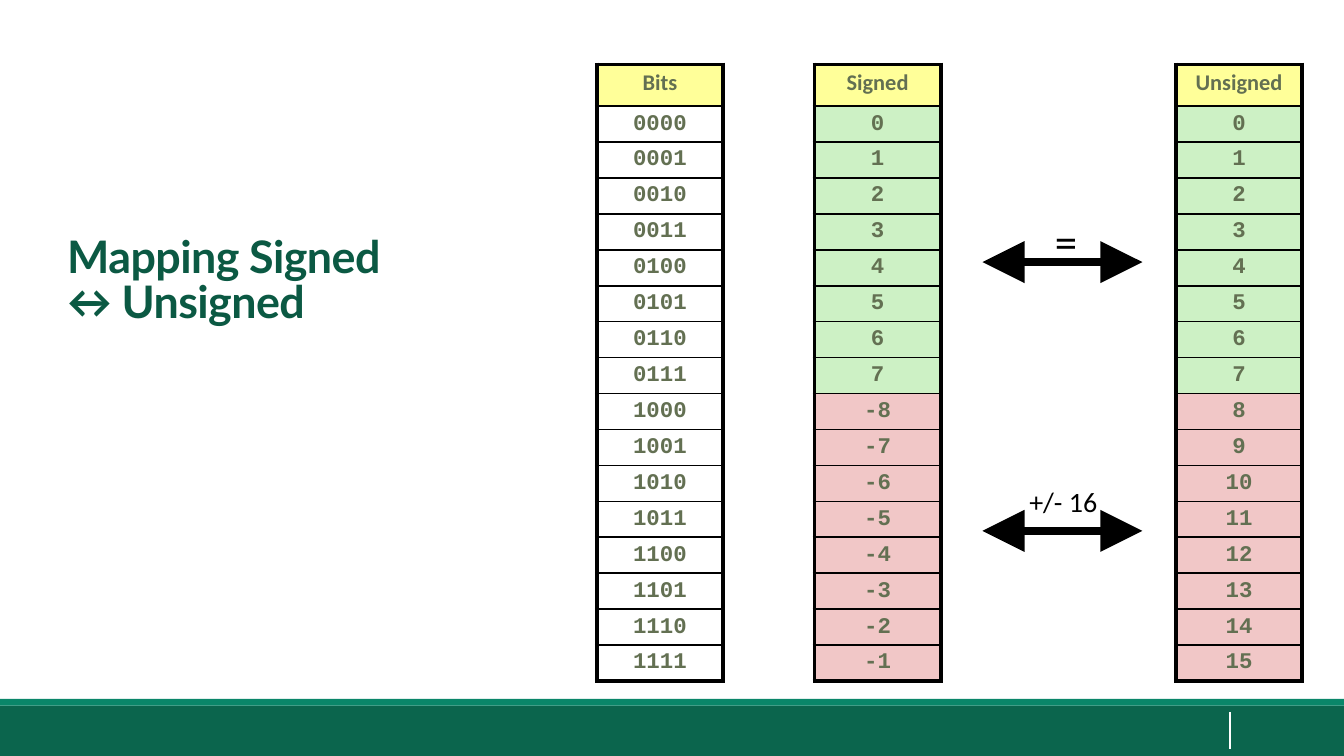
import dataclasses

import pptx
import pptx.dml.color
import pptx.enum.shapes
import pptx.enum.text
import pptx.oxml
import pptx.oxml.ns
import pptx.util
from lxml import etree

ALIGN = pptx.enum.text.PP_ALIGN
ANCHOR = pptx.enum.text.MSO_ANCHOR
AUTO_SIZE = pptx.enum.text.MSO_AUTO_SIZE
SHAPE = pptx.enum.shapes.MSO_SHAPE
STRAIGHT = pptx.enum.shapes.MSO_CONNECTOR.STRAIGHT


@dataclasses.dataclass(frozen=True)
class Theme:
    title: str = "0B5943"
    bar: str = "0B654D"
    strip: str = "0A8669"
    white: str = "FFFFFF"
    black: str = "000000"
    cell_text: str = "637052"
    header: str = "FFFF99"
    same: str = "CDF1C5"
    shifted: str = "F1C7C7"
    title_font: str = "Lato"
    body_font: str = "Calibri"
    code_font: str = "Courier New"
    title_size: float = 24
    cell_size: float = 12
    equal_size: float = 24
    offset_size: float = 15
    outer_line: float = 2.25
    inner_line: float = 1
    arrow_line: float = 4.5


@dataclasses.dataclass(frozen=True)
class Box:
    """Left, top, width and height in grid units."""
    left: float
    top: float
    width: float
    height: float

    def lengths(self):
        return [grid(value) for value in dataclasses.astuple(self)]


THEME = Theme()
COLUMNS, ROWS = 100, 56.25
WORD_BITS = 4
COUNT = 2 ** WORD_BITS
HALF = COUNT // 2


def grid(units):
    """One unit is a hundredth of the slide's width."""
    return pptx.util.Inches(units * 10 / COLUMNS)


def rgb(color):
    return pptx.dml.color.RGBColor.from_string(color)


def set_margins(frame, across, down):
    frame.margin_left = frame.margin_right = pptx.util.Inches(across)
    frame.margin_top = frame.margin_bottom = pptx.util.Inches(down)


def style_text(para, font, size, color, bold=False):
    for span in para.runs:
        span.font.name = font
        span.font.size = pptx.util.Pt(size)
        span.font.bold = bold
        span.font.color.rgb = rgb(color)


def add_rectangle(page, box, color):
    shape = page.shapes.add_shape(SHAPE.RECTANGLE, *box.lengths())
    shape.shadow.inherit = False
    shape.fill.solid()
    shape.fill.fore_color.rgb = rgb(color)
    shape.line.fill.background()


def add_line(shapes, start, end, color, width):
    line = shapes.add_connector(STRAIGHT, *[grid(value) for value in start + end])
    line.line.color.rgb = rgb(color)
    line.line.width = pptx.util.Pt(width)
    etree.SubElement(line._element.spPr, pptx.oxml.ns.qn("a:effectLst"))
    return line


def add_footer(page, box):
    strip_height = 0.5
    bar_top = box.top + strip_height
    bar_height = box.height - strip_height
    add_rectangle(page, Box(box.left, bar_top, box.width, bar_height), THEME.bar)
    add_rectangle(page, Box(box.left, box.top, box.width, strip_height), THEME.strip)
    divider = box.left + 0.915 * box.width
    add_line(page.shapes, (divider, bar_top + 0.5), (divider, bar_top + 3.2),
             THEME.white, 1)


def place_title(page, box, text):
    title = page.shapes.title
    title.left, title.top, title.width, title.height = box.lengths()
    frame = title.text_frame
    frame.text = text
    frame.word_wrap = True
    frame.auto_size = AUTO_SIZE.SHAPE_TO_FIT_TEXT
    frame.vertical_anchor = ANCHOR.TOP
    set_margins(frame, 0.05, 0.02)
    para = frame.paragraphs[0]
    para.alignment = ALIGN.LEFT
    para.line_spacing = 0.85
    style_text(para, THEME.title_font, THEME.title_size, THEME.title, True)
    for span in para.runs:
        span._r.get_or_add_rPr().set("spc", "-30")


def set_borders(cell, widths):
    """Widths are in points, keyed by side; the schema wants L, R, T, B first."""
    properties = cell._tc.get_or_add_tcPr()
    for index, side in enumerate("LRTB"):
        width = pptx.util.Pt(widths[side])
        properties.insert(index, pptx.oxml.parse_xml(
            f'<a:ln{side} {pptx.oxml.ns.nsdecls("a")} w="{width}"><a:solidFill>'
            f'<a:srgbClr val="{THEME.black}"/></a:solidFill></a:ln{side}>'))


def fill_cell(cell, text, font, color, is_first, is_last):
    cell.text = text
    cell.margin_left = cell.margin_right = cell.margin_top = pptx.util.Inches(0.04)
    cell.margin_bottom = pptx.util.Inches(0.03)
    para = cell.text_frame.paragraphs[0]
    para.alignment = ALIGN.CENTER
    para.line_spacing = 0.95
    style_text(para, font, THEME.cell_size, THEME.cell_text, True)
    if color:
        cell.fill.solid()
        cell.fill.fore_color.rgb = rgb(color)
    else:
        cell.fill.background()
    outer, inner = THEME.outer_line, THEME.inner_line
    set_borders(cell, {"L": outer, "R": outer, "T": outer if is_first else inner,
                       "B": outer if is_last else inner})


def add_value_table(page, box, heading, values, colors):
    table = page.shapes.add_table(len(values) + 1, 1, *box.lengths()).table
    table.first_row = table.horz_banding = False
    header_height = 3.1
    row_height = (box.height - header_height) / len(values)
    fill_cell(table.cell(0, 0), heading, THEME.body_font, THEME.header, True, False)
    table.rows[0].height = grid(header_height)
    for row, (value, color) in enumerate(zip(values, colors), 1):
        table.rows[row].height = grid(row_height)
        fill_cell(table.cell(row, 0), str(value), THEME.code_font, color,
                  False, row == len(values))


def add_relation(page, box, label, label_box, size, centred):
    """Double-headed arrow along the foot of the box; label_box is relative to it."""
    group = page.shapes.add_group_shape()
    foot = box.top + box.height
    arrow = add_line(group.shapes, (box.left + box.width, foot), (box.left, foot),
                     THEME.black, THEME.arrow_line)
    outline = arrow.line._get_or_add_ln()
    for end in ("a:headEnd", "a:tailEnd"):
        etree.SubElement(outline, pptx.oxml.ns.qn(end), type="triangle", w="lg", len="lg")
    place = Box(box.left + label_box.left, box.top + label_box.top,
                label_box.width, label_box.height)
    frame = group.shapes.add_textbox(*place.lengths()).text_frame
    frame.text = label
    frame.word_wrap = False
    para = frame.paragraphs[0]
    if centred:
        set_margins(frame, 0.04, 0.05)
        frame.auto_size = AUTO_SIZE.SHAPE_TO_FIT_TEXT
        para.alignment = ALIGN.CENTER
    else:
        frame.vertical_anchor = ANCHOR.MIDDLE
    style_text(para, THEME.body_font, size, THEME.black)


def build_mapping_page(deck):
    page = deck.slides.add_slide(deck.slide_layouts[5])
    add_footer(page, Box(0, 52, COLUMNS, ROWS - 52))
    place_title(page, Box(4.5, 17.4, 27.2, 7.4), "Mapping Signed ↔ Unsigned")
    codes = range(COUNT)
    bits = [f"{code:0{WORD_BITS}b}" for code in codes]
    signed = [code if code < HALF else code - COUNT for code in codes]
    halves = [THEME.same] * HALF + [THEME.shifted] * HALF
    for left, heading, values, colors in (
            (60.6, "Signed", signed, halves),
            (87.5, "Unsigned", codes, halves),
            (44.4, "Bits", bits, [None] * COUNT)):
        add_value_table(page, Box(left, 4.8, 9.4, 45.9), heading, values, colors)
    add_relation(page, Box(73.1, 15.4, 11.9, 4.1), "=", Box(5, 0, 2.4, 5.1),
                 THEME.equal_size, True)
    add_relation(page, Box(73.1, 35.4, 11.9, 4.1), f"+/- {COUNT}", Box(2.5, 0, 7.5, 3.8),
                 THEME.offset_size, False)


def main():
    deck = pptx.Presentation()
    deck.slide_width, deck.slide_height = grid(COLUMNS), grid(ROWS)
    build_mapping_page(deck)
    deck.save("out.pptx")


if __name__ == "__main__":
    main()
